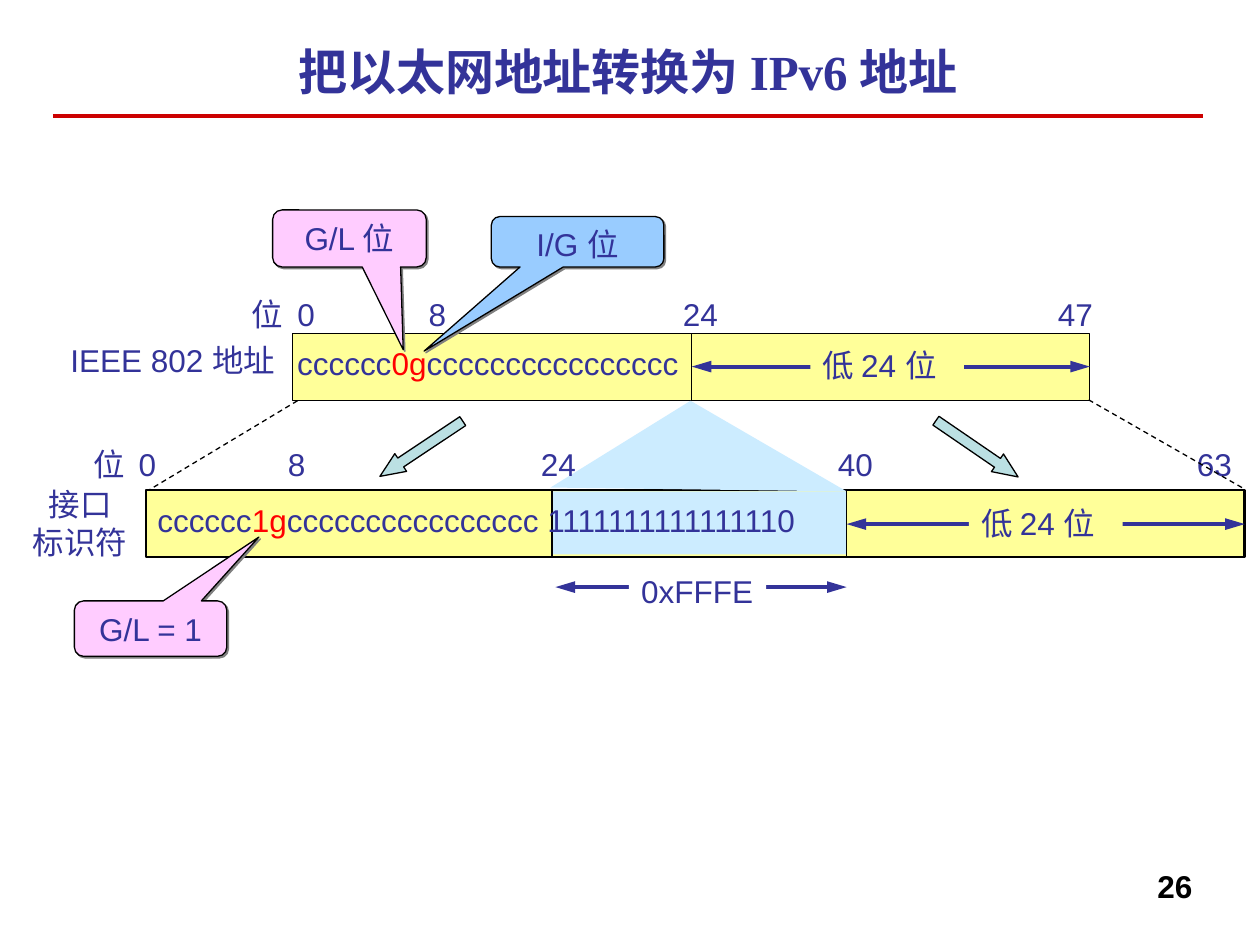
"""Build a slide showing how an Ethernet address becomes an IPv6 interface identifier."""
from dataclasses import dataclass
from typing import Optional

import pptx
import pptx.dml.color
import pptx.enum.dml
import pptx.enum.shapes
import pptx.enum.text
import pptx.oxml
import pptx.oxml.ns
import pptx.util

Pt = pptx.util.Pt
RGBColor = pptx.dml.color.RGBColor
SHAPE = pptx.enum.shapes.MSO_SHAPE
ALIGN = pptx.enum.text.PP_ALIGN
ANCHOR = pptx.enum.text.MSO_ANCHOR

BLACK = RGBColor(0x00, 0x00, 0x00)
WHITE = RGBColor(0xFF, 0xFF, 0xFF)
NAVY = RGBColor(0x33, 0x33, 0x99)
RED = RGBColor(0xFF, 0x00, 0x00)
RULE_RED = RGBColor(0xCC, 0x00, 0x00)
YELLOW = RGBColor(0xFF, 0xFF, 0x99)
PALE_BLUE = RGBColor(0xCC, 0xEC, 0xFF)
BLUE = RGBColor(0x99, 0xCC, 0xFF)
PINK = RGBColor(0xFF, 0xCC, 0xFF)
TEAL = RGBColor(0xBB, 0xE0, 0xE3)

ROW1_TOP, ROW2_TOP, ROW_H = 190.8, 280.1, 38.2
ROW1_LEFT, ROW1_RIGHT = 167, 622.8
ROW2_LEFT, ROW2_RIGHT = 83.5, 711.3
ROW1_SPLIT, FILL_LEFT, FILL_RIGHT = 395.3, 315.4, 483.8
TEXT_H = 28.8


@dataclass
class Box:
    left: float
    top: float
    width: float
    height: float
    fill: Optional[RGBColor] = None
    line_width: float = 0


@dataclass
class Label:
    box: Box
    text: str
    size: float = 18
    font: str = "Arial"
    color: RGBColor = NAVY
    bold: bool = False
    align: ALIGN = ALIGN.LEFT
    wrap: bool = False
    tabs: tuple[float, ...] = ()


@dataclass
class Line:
    x1: float
    y1: float
    x2: float
    y2: float
    color: RGBColor = BLACK
    width: float = 0.75
    dashed: bool = False
    arrows: bool = False


@dataclass
class Callout:
    label: Label
    tip_x: float
    tip_y: float


def add_xml(parent, xml: str) -> None:
    tag, rest = xml.split(" ", 1)
    parent.append(pptx.oxml.parse_xml(f"<{tag} {pptx.oxml.ns.nsdecls('a')} {rest}"))


def paint(sp, fill: Optional[RGBColor], line_width: float) -> None:
    sp.shadow.inherit = False
    if fill is not None:
        sp.fill.solid()
        sp.fill.fore_color.rgb = fill
    if line_width:
        sp.line.color.rgb = BLACK
        sp.line.width = Pt(line_width)
    else:
        sp.line.fill.background()


def add_box(s, box: Box, kind=SHAPE.RECTANGLE):
    sp = s.shapes.add_shape(kind, Pt(box.left), Pt(box.top), Pt(box.width), Pt(box.height))
    paint(sp, box.fill, box.line_width)
    return sp


def style_run(r, label: Label, color: RGBColor) -> None:
    r.font.size = Pt(label.size)
    r.font.name = label.font
    r.font.bold = label.bold
    r.font.color.rgb = color


def write(sp, label: Label) -> None:
    tf = sp.text_frame
    tf.text = label.text
    tf.word_wrap = label.wrap
    tf.vertical_anchor = ANCHOR.TOP
    for p in tf.paragraphs:
        p.alignment = label.align
        if label.tabs:
            stops = "".join(f'<a:tab pos="{Pt(t)}" algn="l"/>' for t in label.tabs)
            add_xml(p._p.get_or_add_pPr(), f"a:tabLst >{stops}</a:tabLst>")
        for r in p.runs:
            style_run(r, label, label.color)


def add_label(s, label: Label):
    b = label.box
    if b.fill is not None:
        sp = add_box(s, b)
    else:
        sp = s.shapes.add_textbox(Pt(b.left), Pt(b.top), Pt(b.width), Pt(b.height))
    write(sp, label)
    return sp


def add_bits(s, label: Label, marked: str, tail: str) -> None:
    p = add_label(s, label).text_frame.paragraphs[0]
    for text, color in ((marked, RED), (tail, NAVY)):
        r = p.add_run()
        r.text = text
        style_run(r, label, color)


def add_line(s, line: Line) -> None:
    sp = s.shapes.add_connector(pptx.enum.shapes.MSO_CONNECTOR.STRAIGHT,
                                Pt(line.x1), Pt(line.y1), Pt(line.x2), Pt(line.y2))
    sp.line.color.rgb = line.color
    sp.line.width = Pt(line.width)
    if line.dashed:
        sp.line.dash_style = pptx.enum.dml.MSO_LINE.DASH
    if line.arrows:
        for end in ("headEnd", "tailEnd"):
            add_xml(sp.line._get_or_add_ln(), f'a:{end} type="triangle" w="med" len="lg"/>')
    add_xml(sp._element.spPr, "a:effectLst />")


def add_span(s, x1: float, x2: float, y: float) -> None:
    add_line(s, Line(x1, y, x2, y, NAVY, 2.25, arrows=True))


def add_divider(s, x: float, top: float) -> None:
    add_line(s, Line(x, top, x, top + ROW_H))


def add_callout(s, callout: Callout) -> None:
    sp = add_box(s, callout.label.box, SHAPE.ROUNDED_RECTANGULAR_CALLOUT)
    sp.adjustments[0] = callout.tip_x
    sp.adjustments[1] = callout.tip_y
    add_xml(sp._element.spPr.find(pptx.oxml.ns.qn("a:effectLst")),
            f'a:outerShdw dist="{Pt(1.4)}" dir="2700000" algn="ctr" rotWithShape="0">'
            '<a:srgbClr val="808080"/></a:outerShdw>')
    write(sp, callout.label)


def add_down_arrow(s, left: float, rotation: float) -> None:
    sp = add_box(s, Box(left, 228, 12.2, 56.9, TEAL, 0.75), SHAPE.DOWN_ARROW)
    sp.adjustments[1] = 1.17
    sp.rotation = rotation


def add_funnel(s) -> None:
    builder = s.shapes.build_freeform(Pt(394.6), Pt(229))
    builder.add_line_segments([(Pt(314.6), Pt(278.6)), (Pt(FILL_RIGHT), Pt(280.8))])
    paint(builder.convert_to_shape(), PALE_BLUE, 0)


def main() -> None:
    prs = pptx.Presentation()
    prs.slide_width, prs.slide_height = Pt(720), Pt(540)
    s = prs.slides.add_slide(prs.slide_layouts[6])

    add_line(s, Line(30.2, 66.3, 687.6, 66.3, RULE_RED, 2))
    title = add_label(s, Label(Box(30.2, 18, 657.4, 48.2), "把以太网地址转换为 IPv6 地址", 28,
                               "Times New Roman", bold=True, align=ALIGN.CENTER, wrap=True))
    title.text_frame.vertical_anchor = ANCHOR.MIDDLE
    title.text_frame.margin_top = 0

    add_box(s, Box(ROW1_LEFT, ROW1_TOP, ROW1_RIGHT - ROW1_LEFT, ROW_H, YELLOW, 0.75))
    add_span(s, FILL_LEFT + 2, FILL_RIGHT, 335.5)
    add_box(s, Box(ROW2_LEFT, ROW2_TOP, ROW2_RIGHT - ROW2_LEFT, ROW_H, YELLOW, 1.5))
    add_box(s, Box(316.1, 280.8, 167.8, 36, PALE_BLUE))
    add_label(s, Label(Box(359.3, 323.3, 78.5, TEXT_H, WHITE), "0xFFFE"))
    add_funnel(s)
    for x, top in ((ROW1_SPLIT, ROW1_TOP), (FILL_LEFT, ROW2_TOP), (FILL_RIGHT, ROW2_TOP)):
        add_divider(s, x, top)
    for x1, x2, y, left in ((ROW1_SPLIT, ROW1_RIGHT, 209.5, 463), (FILL_RIGHT, ROW2_RIGHT, 299.5, 553.7)):
        add_span(s, x1, x2, y)
        add_label(s, Label(Box(left, y - 15.1, 87.8, TEXT_H, YELLOW), "低 24 位"))

    add_bits(s, Label(Box(82.8, 283, 397.4, TEXT_H), "cccccc"), "1g", "cccccccccccccccc 1111111111111110")
    add_bits(s, Label(Box(162.7, 193, 232.6, TEXT_H), "cccccc"), "0g", "cccccccccccccccc")
    for label in (
        Label(Box(136.8, 164.9, 495.4, TEXT_H), "位\t0\t8\t24\t47", wrap=True, tabs=(26, 101, 246.3, 460.6)),
        Label(Box(46.1, 250.6, 665.3, TEXT_H), "位\t0\t8\t24\t40\t63", wrap=True,
              tabs=(26, 111.3, 255.9, 425.6, 630.7)),
        Label(Box(33.1, 191.5, 135.4, TEXT_H), "IEEE 802 地址"),
        Label(Box(11.5, 273.6, 68.4, 50.4), "接口\n标识符", align=ALIGN.CENTER),
    ):
        add_label(s, label)

    add_down_arrow(s, 234.7, 56.3)
    add_line(s, Line(622.1, 228.5, 710, 278.8, dashed=True))
    add_line(s, Line(170, 229, 85, 280.1, dashed=True))
    for text, box, tip_x, tip_y in (
        ("I/G 位", Box(280.8, 123.8, 98.6, 28.8, BLUE, 0.75), -0.89, 2.17),
        ("G/L 位", Box(155.8, 120, 87.8, 32.6, PINK, 0.75), 0.35, 1.95),
        ("G/L = 1", Box(42.5, 343.4, 87.1, 31.7, PINK, 0.75), 0.71, -1.65),
    ):
        add_callout(s, Callout(Label(box, text, align=ALIGN.CENTER, wrap=True), tip_x, tip_y))
    add_down_arrow(s, 552.2, 304.4)
    add_label(s, Label(Box(520.6, 491.8, 167.8, 37.4), "26", color=BLACK, bold=True,
                       align=ALIGN.RIGHT, wrap=True))
    prs.save("out.pptx")


if __name__ == "__main__":
    main()
